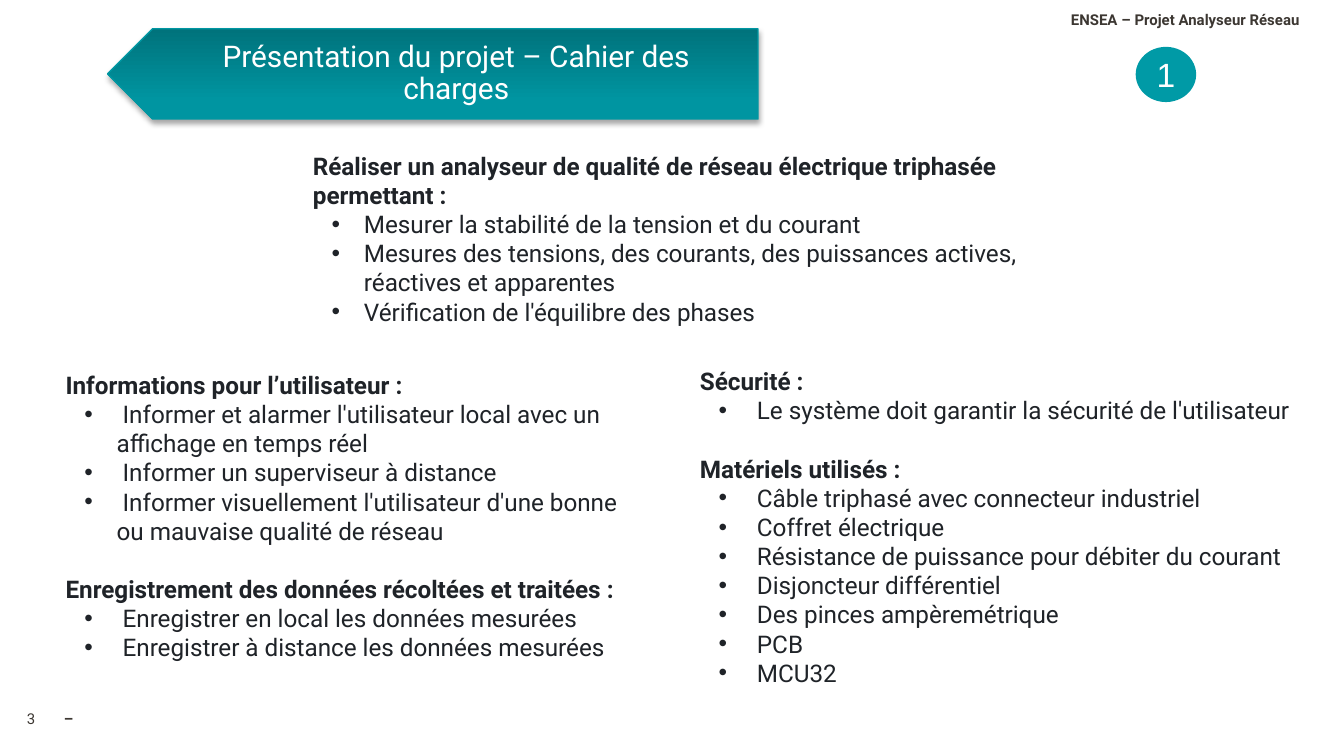
from lxml import etree
from pptx import Presentation, util as u
from pptx.dml.color import RGBColor
from pptx.enum import shapes, text
from pptx.oxml import parse_xml
from pptx.oxml.ns import qn, nsdecls

WHITE = RGBColor(0xFF, 0xFF, 0xFF)
INK = RGBColor(0x1F, 0x23, 0x28)
BROWN = RGBColor(0x3C, 0x37, 0x32)
TEAL = RGBColor(0x00, 0x9A, 0xA6)
EDGE = RGBColor(0x00, 0x97, 0xA2)
FADE = [(0, "00737C"), (80, "0095A1"), (100, "0096A2")]

TITLE = "Présentation du projet – Cahier des charges"
HEADER = "ENSEA – Projet Analyseur Réseau"

LISTS = [
    ((22.3, 19.1, 55.1, 25.1), [
        ("Réaliser un analyseur de qualité de réseau électrique triphasée permettant :", [
            "Mesurer la stabilité de la tension et du courant",
            "Mesures des tensions, des courants, des puissances actives, réactives et apparentes",
            "Vérification de l'équilibre des phases"])]),
    ((3.9, 48.1, 43.7, 48.6), [
        ("Informations pour l’utilisateur :", [
            " Informer et alarmer l'utilisateur local avec un affichage en temps réel",
            " Informer un superviseur à distance",
            " Informer visuellement l'utilisateur d'une bonne ou mauvaise qualité de réseau"]),
        ("Enregistrement des données récoltées et traitées :", [
            " Enregistrer en local les données mesurées",
            " Enregistrer à distance les données mesurées"])]),
    ((51.1, 47.6, 53, 48.6), [
        ("Sécurité :", [
            " Le système doit garantir la sécurité de l'utilisateur"]),
        ("Matériels utilisés :", [
            " Câble triphasé avec connecteur industriel",
            " Coffret électrique",
            " Résistance de puissance pour débiter du courant",
            " Disjoncteur différentiel",
            " Des pinces ampèremétrique",
            " PCB",
            " MCU32"])]),
]

deck = Presentation()
deck.slide_width = u.Inches(10)
deck.slide_height = deck.slide_width * 9 // 16
slide = deck.slides.add_slide(deck.slide_layouts[6])


def place(x, y, w, h):
    wide, high = deck.slide_width / 100, deck.slide_height / 100
    return int(x * wide), int(y * high), int(w * wide), int(h * high)


def write(para, words, size=13, color=INK, bold=False, font="Roboto",
          align=None, line=None, before=0, bullet=False):
    if bullet:
        props = para._p.get_or_add_pPr()
        props.set("marL", str(u.Inches(0.38)))
        props.set("indent", str(-u.Inches(0.24)))
        etree.SubElement(props, qn("a:buFont")).set("typeface", "Arial")
        etree.SubElement(props, qn("a:buChar")).set("char", "•")
    run = para.add_run()
    run.text = words
    run.font.size, run.font.bold, run.font.name = u.Pt(size), bold, font
    run.font.color.rgb = color
    para.alignment = align
    if line:
        para.line_spacing = line
    if before:
        para.space_before = u.Pt(before)


def inset(body, pads):
    (body.margin_left, body.margin_top,
     body.margin_right, body.margin_bottom) = map(u.Inches, pads)


def frame(area, pads=(0.1, 0.05, 0.1, 0.05), home=slide):
    body = home.shapes.add_textbox(*place(*area)).text_frame
    body.word_wrap = True
    inset(body, pads)
    return body


MID = text.PP_ALIGN.CENTER
foot = dict(size=8, color=BROWN, line=1.14)
write(frame((4.3, 93.5, 1.6, 3.2), (0,) * 4).paragraphs[0], "–", bold=True, align=MID, **foot)
write(frame((2, 93.5, 3.9, 3.2), (0,) * 4).paragraphs[0], "3", **foot)

banner = slide.shapes.add_group_shape()
arrow = banner.shapes.add_shape(shapes.MSO_SHAPE.PENTAGON, *place(8, 3.8, 48.4, 11.95))
arrow.rotation = 180
arrow.line.color.rgb = EDGE
arrow.line.width = u.Pt(0.75)
stops = "".join(f'<a:gs pos="{at * 1000}"><a:srgbClr val="{tint}"/></a:gs>' for at, tint in FADE)
props = arrow._element.spPr
props.find(qn("a:prstGeom")).addnext(parse_xml(
    f'<a:gradFill rotWithShape="1" {nsdecls("a")}><a:gsLst>{stops}</a:gsLst>'
    '<a:lin ang="16200000" scaled="0"/></a:gradFill>'))
props.append(parse_xml(
    f'<a:effectLst {nsdecls("a")}><a:outerShdw blurRad="{u.Pt(3.1)}" dist="{u.Pt(1.8)}" '
    'dir="5400000" rotWithShape="0"><a:srgbClr val="000000"><a:alpha val="35000"/>'
    '</a:srgbClr></a:outerShdw></a:effectLst>'))
title = frame((9.7, 3.8, 46.7, 11.95), (0.3, 0.07, 0.12, 0.07), banner)
title.vertical_anchor = text.MSO_ANCHOR.MIDDLE
write(title.paragraphs[0], TITLE, size=16, color=WHITE, align=MID, line=0.9)

write(frame((78.7, 0.53, 20.6, 3.91)).paragraphs[0], HEADER, size=8, color=BROWN, bold=True)

badge = slide.shapes.add_shape(shapes.MSO_SHAPE.OVAL, *place(84.5, 6.2, 4.5, 7.3))
badge.shadow.inherit = False
badge.fill.solid()
badge.fill.fore_color.rgb = TEAL
badge.line.fill.background()
badge.text_frame.word_wrap = False
badge.text_frame.vertical_anchor = text.MSO_ANCHOR.MIDDLE
inset(badge.text_frame, (0.08,) * 4)
write(badge.text_frame.paragraphs[0], "1", size=18, color=WHITE, font="Arial", align=MID)

for area, parts in LISTS:
    body = frame(area)
    for i, (head, items) in enumerate(parts):
        para = body.add_paragraph() if i else body.paragraphs[0]
        write(para, head, bold=True, before=15.6 if i else 0)
        for item in items:
            write(body.add_paragraph(), item, bullet=True)

deck.save("out.pptx")
